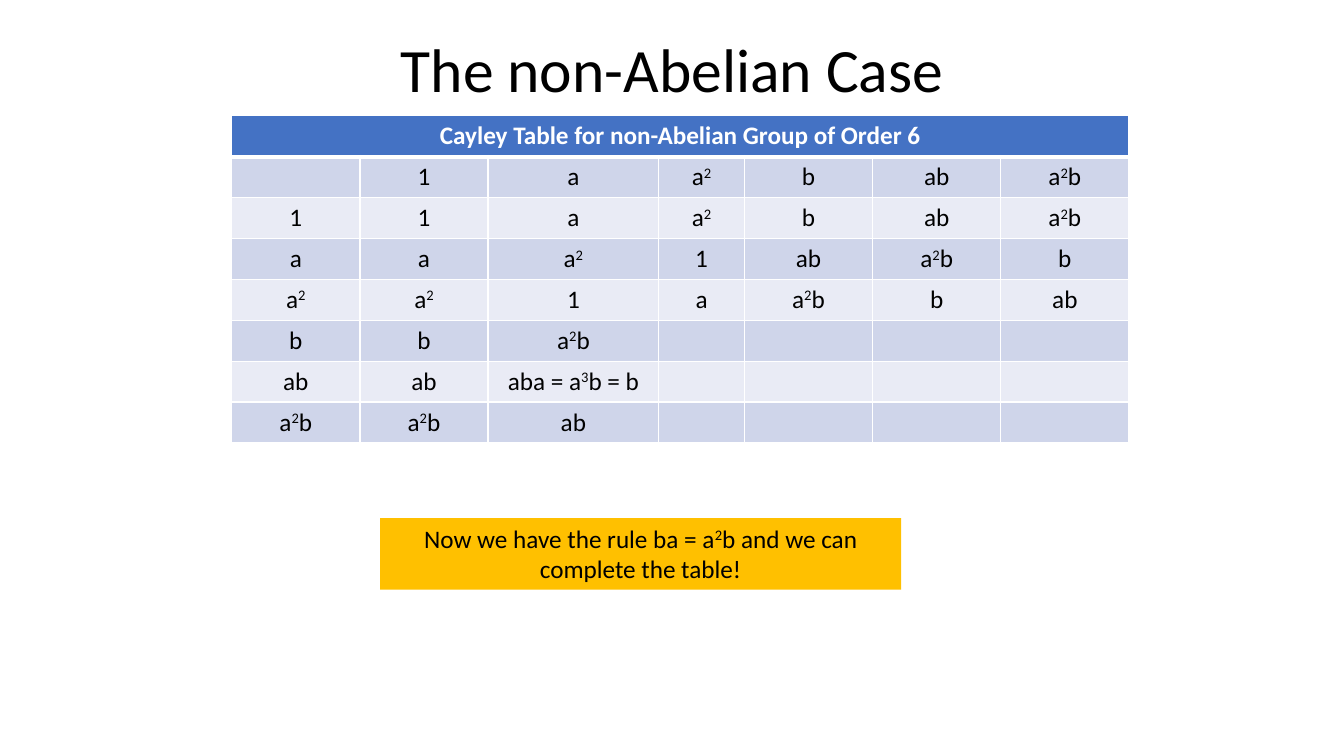
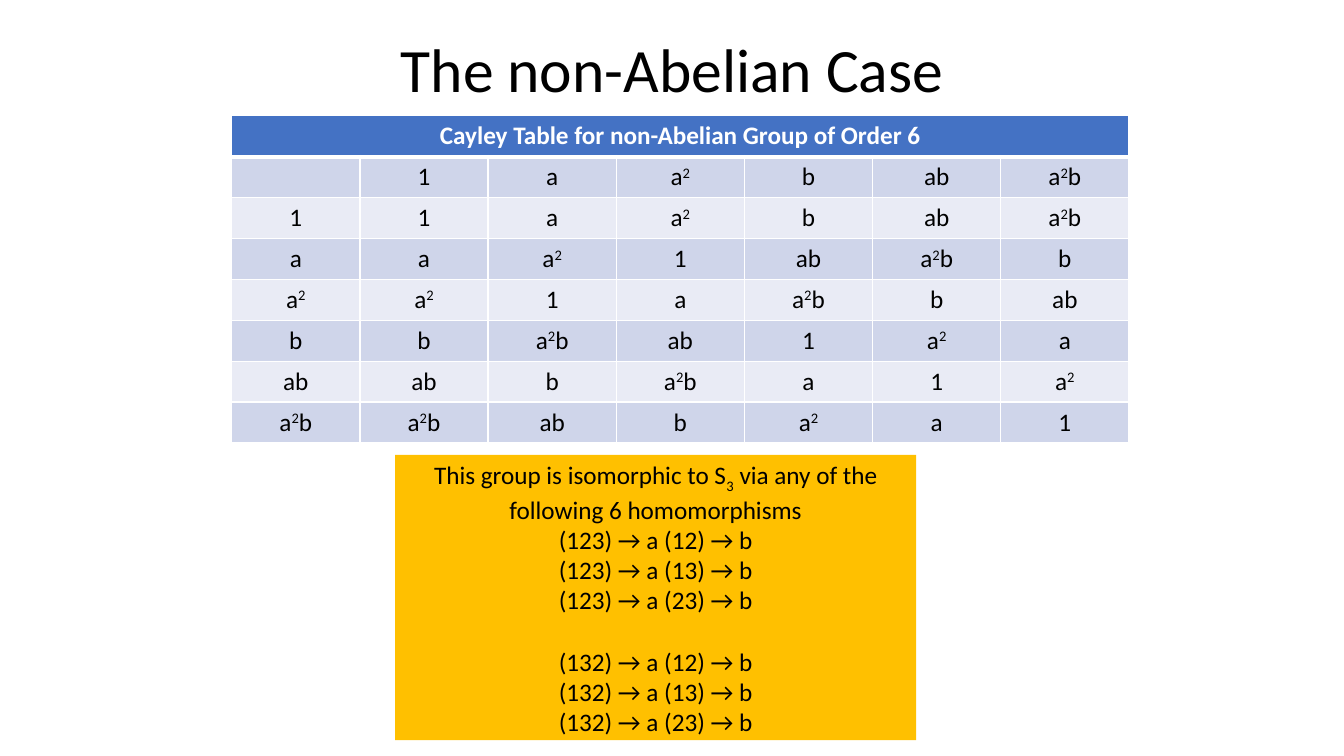
from dataclasses import dataclass
from typing import Iterator, NamedTuple

from lxml.etree import SubElement
from pptx import Presentation
from pptx.dml.color import RGBColor
from pptx.enum.shapes import MSO_SHAPE as Preset
from pptx.enum.text import MSO_ANCHOR as Anchor, MSO_AUTO_SIZE as AutoSize, PP_ALIGN as Align
from pptx.oxml.ns import qn
from pptx.util import Cm, Pt


@dataclass(frozen=True)
class Theme:
    font: str = "Calibri"
    title_size: int = 44
    body_size: int = 18
    ink: str = "000000"
    white: str = "FFFFFF"
    header: str = "4472C4"
    bands: tuple[str, str] = ("CFD5EA", "E9EBF5")
    note: str = "FFC000"
    rule: int = 1
    header_rule: int = 3


class Box(NamedTuple):
    """A frame in centimetres."""
    left: float
    top: float
    width: float
    height: float

    def lengths(self) -> list[Cm]:
        return [Cm(value) for value in self]


class Line(NamedTuple):
    text: str
    space_before: int = 0


class Element(NamedTuple):
    """The group element a^power b^flip."""
    power: int
    flip: int

    def __mul__(self, other):
        """Multiply by the rule ba = a²b, with a³ = b² = 1."""
        turn = -other.power if self.flip else other.power
        return Element((self.power + turn) % 3, (self.flip + other.flip) % 2)

    def label(self) -> str:
        return ("", "a", "a^2")[self.power] + "b" * self.flip or "1"


@dataclass(frozen=True)
class CayleySlide:
    column_widths: list[float]
    rows: list[list[str]]
    note_box: Box
    note_lines: list[Line]


THEME = Theme()
TITLE = "The non-Abelian Case"
TABLE_TITLE = "Cayley Table for non-Abelian Group of Order 6"
TITLE_BOX = Box(2.34, 0, 29.21, 3.68)
TABLE_LEFT, TABLE_TOP, ROW_HEIGHT, COLUMN_WIDTH = 5.84, 2.92, 1.03, 3.23
BASELINES = {"^": "30000", "_": "-25000"}
ELEMENTS = [Element(power, flip) for flip in range(2) for power in range(3)]


def split_scripts(text: str) -> Iterator[tuple[str, str]]:
    """Yield (text, baseline) pieces; ^ raises and _ lowers the next character."""
    plain = ""
    characters = iter(text)
    for character in characters:
        if character in BASELINES:
            yield plain, ""
            yield next(characters), BASELINES[character]
            plain = ""
        else:
            plain += character
    if plain:
        yield plain, ""


def write(paragraph, text: str, size: int = THEME.body_size,
          color: str = THEME.ink, bold: bool = False) -> None:
    paragraph.alignment = Align.CENTER
    for piece, baseline in split_scripts(text):
        run = paragraph.add_run()
        run.text = piece
        run.font.name = THEME.font
        run.font.size = Pt(size)
        run.font.bold = bold
        run.font.color.rgb = RGBColor.from_string(color)
        if baseline:
            run.font._element.set("baseline", baseline)


def add_title(slide) -> None:
    frame = slide.shapes.add_textbox(*TITLE_BOX.lengths()).text_frame
    frame.word_wrap = True
    frame.vertical_anchor = Anchor.MIDDLE
    paragraph = frame.paragraphs[0]
    paragraph.line_spacing = 0.9
    write(paragraph, TITLE, THEME.title_size)


def style_cell(cell, fill: str, top: int = THEME.rule, bottom: int = THEME.rule) -> None:
    """Draw white borders, then the fill, in the order the file format asks for."""
    properties = cell._tc.get_or_add_tcPr()
    widths = {"lnL": THEME.rule, "lnR": THEME.rule, "lnT": top, "lnB": bottom}
    for side, width in widths.items():
        border = SubElement(properties, qn(f"a:{side}"), w=str(Pt(width)))
        SubElement(SubElement(border, qn("a:solidFill")), qn("a:srgbClr"), val=THEME.white)
    cell.fill.solid()
    cell.fill.fore_color.rgb = RGBColor.from_string(fill)


def add_cayley_table(slide, rows: list[list[str]], widths: list[float]) -> None:
    row_count = len(rows) + 1
    box = Box(TABLE_LEFT, TABLE_TOP, sum(widths), ROW_HEIGHT * row_count)
    table = slide.shapes.add_table(row_count, len(widths), *box.lengths()).table
    for column, width in zip(table.columns, widths):
        column.width = Cm(width)
    for row in table.rows:
        row.height = Cm(ROW_HEIGHT)

    header = table.cell(0, 0)
    header.merge(table.cell(0, len(widths) - 1))
    for cell in table.rows[0].cells:
        style_cell(cell, THEME.header, bottom=THEME.header_rule)
    write(header.text_frame.paragraphs[0], TABLE_TITLE, color=THEME.white, bold=True)

    for index, labels in enumerate(rows):
        top = THEME.rule if index else THEME.header_rule
        for column, label in enumerate(labels):
            cell = table.cell(index + 1, column)
            style_cell(cell, THEME.bands[index % 2], top=top)
            write(cell.text_frame.paragraphs[0], label)


def add_note(slide, box: Box, lines: list[Line]) -> None:
    shape = slide.shapes.add_shape(Preset.RECTANGLE, *box.lengths())
    shape.shadow.inherit = False
    shape.fill.solid()
    shape.fill.fore_color.rgb = RGBColor.from_string(THEME.note)
    shape.line.fill.background()
    frame = shape.text_frame
    frame.word_wrap = True
    frame.auto_size = AutoSize.SHAPE_TO_FIT_TEXT
    frame.vertical_anchor = Anchor.TOP
    for index, line in enumerate(lines):
        paragraph = frame.add_paragraph() if index else frame.paragraphs[0]
        paragraph.space_before = Pt(line.space_before)
        write(paragraph, line.text)


def complete_rows() -> list[list[str]]:
    heading = [""] + [element.label() for element in ELEMENTS]
    return [heading] + [
        [left.label()] + [(left * right).label() for right in ELEMENTS]
        for left in ELEMENTS
    ]


def partial_rows() -> list[list[str]]:
    """Keep only the products by 1 and a in the rows that begin with b, ab and a²b."""
    rows = complete_rows()
    for row in rows[4:]:
        row[3:] = [""] * 4
    rows[5][2] = "aba = a^3b = b"
    return rows


def homomorphism_lines() -> list[Line]:
    return [
        Line(f"({cycle}) → a ({swap}) → b", 22 if (cycle, swap) == ("132", "12") else 0)
        for cycle in ("123", "132")
        for swap in ("12", "13", "23")
    ]


def main() -> None:
    presentation = Presentation()
    presentation.slide_width, presentation.slide_height = Cm(33.87), Cm(19.05)
    wide, narrow = 4.3, 2.16
    slides = [
        CayleySlide(
            [COLUMN_WIDTH] * 2 + [wide, narrow] + [COLUMN_WIDTH] * 3,
            partial_rows(),
            Box(9.58, 13.06, 13.13, 1.8),
            [Line("Now we have the rule ba = a^2b and we can complete the table!")],
        ),
        CayleySlide(
            [COLUMN_WIDTH] * 7,
            complete_rows(),
            Box(9.96, 11.46, 13.13, 7.19),
            [Line("This group is isomorphic to S_3 via any of the following 6 homomorphisms"),
             *homomorphism_lines()],
        ),
    ]
    for content in slides:
        slide = presentation.slides.add_slide(presentation.slide_layouts[6])
        add_title(slide)
        add_cayley_table(slide, content.rows, content.column_widths)
        add_note(slide, content.note_box, content.note_lines)
    presentation.save("out.pptx")


if __name__ == "__main__":
    main()
